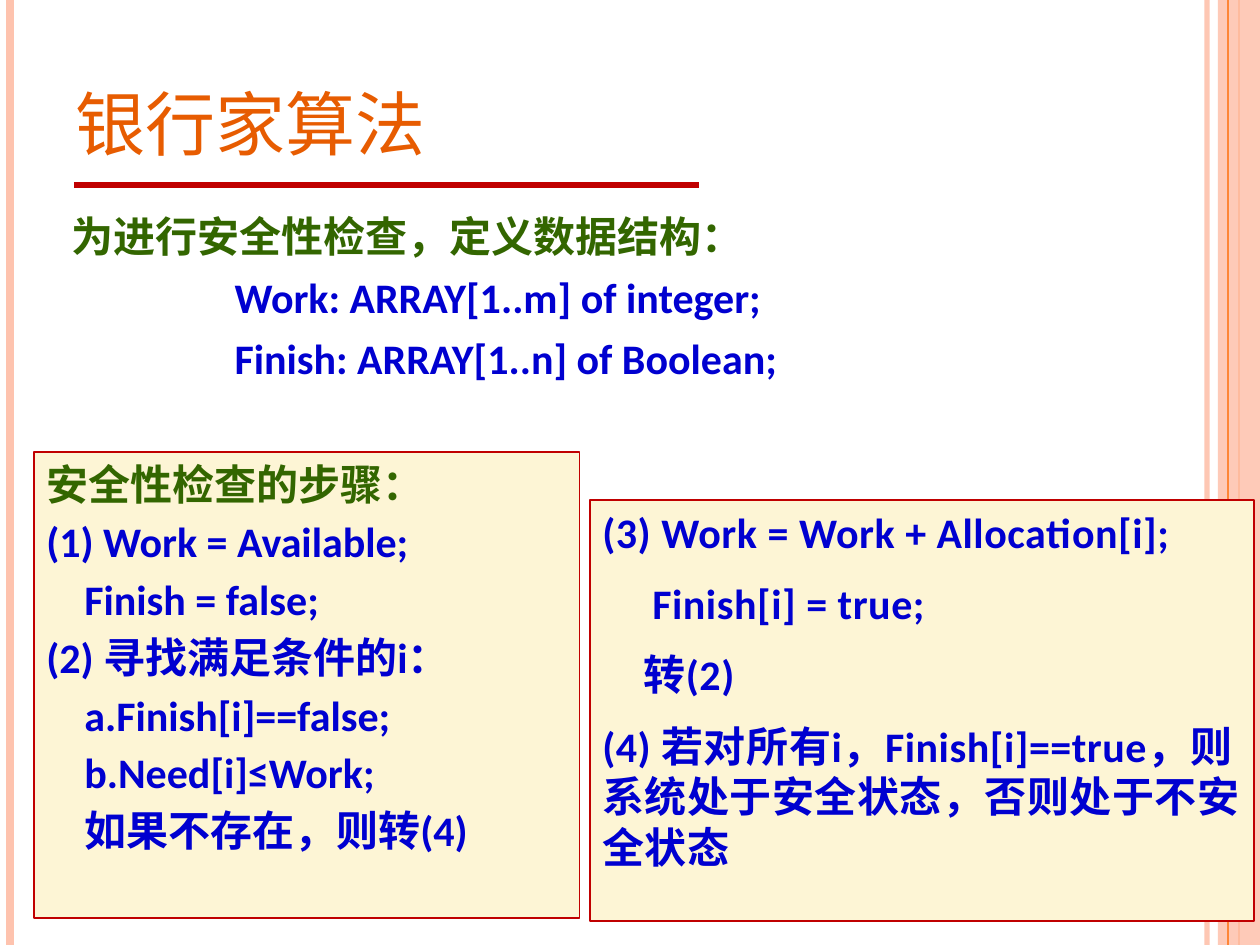
from dataclasses import dataclass
from typing import Optional

import pptx
import pptx.dml.color
import pptx.enum.shapes
import pptx.enum.text
import pptx.oxml.ns
import pptx.util
from lxml import etree

SCALE = 914400 // 126  # EMU in one pixel
WIDE, HIGH = 1260, 945


@dataclass(frozen=True)
class Theme:
    title: str = "E75C01"
    green: str = "336600"
    blue: str = "0000D0"
    red: str = "C00000"
    cream: str = "FDF5D5"
    pink: str = "FEC3AE"
    orange: str = "FE8637"
    head_size: int = 40
    text_size: int = 24
    head_font: str = "Noto Sans CJK SC"
    text_font: str = "Calibri"


THEME = Theme()


@dataclass(frozen=True)
class Rule:
    start: tuple[int, int]
    end: tuple[int, int]
    color: str
    width: float
    alpha: int = 100


@dataclass(frozen=True)
class Line:
    text: str
    indent: int = 0
    color: str = THEME.blue


@dataclass(frozen=True)
class Panel:
    area: tuple[int, int, int, int]
    lines: list[Line]
    before: float
    track: int = 0  # hundredths of a point


def px(count: int) -> pptx.util.Emu:
    return pptx.util.Emu(count * SCALE)


def rgb(code: str) -> pptx.dml.color.RGBColor:
    return pptx.dml.color.RGBColor.from_string(code)


def add_child(parent, tag: str, **values: str):
    return etree.SubElement(parent, pptx.oxml.ns.qn(tag), **values)


def set_alpha(shape, percent: int) -> None:
    tone = next(shape._element.spPr.iter(pptx.oxml.ns.qn("a:srgbClr")))
    add_child(tone, "a:alpha", val=str(percent * 1000))


def draw_rule(slide, rule: Rule) -> None:
    line = slide.shapes.add_connector(
        pptx.enum.shapes.MSO_CONNECTOR.STRAIGHT,
        *map(px, rule.start + rule.end))
    line.line.color.rgb = rgb(rule.color)
    line.line.width = pptx.util.Pt(rule.width)
    if rule.alpha < 100:
        set_alpha(line, rule.alpha)
    add_child(line._element.spPr, "a:effectLst")


def draw_box(slide, area: tuple[int, int, int, int], fill: str,
             edge: Optional[str] = None):
    box = slide.shapes.add_shape(
        pptx.enum.shapes.MSO_SHAPE.RECTANGLE, *map(px, area))
    box.shadow.inherit = False
    box.fill.solid()
    box.fill.fore_color.rgb = rgb(fill)
    if edge:
        box.line.color.rgb = rgb(edge)
        box.line.width = pptx.util.Pt(0.75)
    else:
        box.line.fill.background()
    return box


def place(shape, area: tuple[int, int, int, int]) -> None:
    shape.left, shape.top, shape.width, shape.height = map(px, area)


def add_run(para, text: str, size: int, font: str, color: str,
            bold: bool, track: int = 0) -> None:
    run = para.add_run()
    run.text = text
    run.font.size = pptx.util.Pt(size)
    run.font.name = font
    run.font.bold = bold
    run.font.color.rgb = rgb(color)
    props = run.font._element
    add_child(props, "a:ea", typeface=font)
    if track:
        props.set("spc", str(track))


def fill_text(frame, lines: list[Line], before: float, track: int = 0) -> None:
    frame.word_wrap = True
    frame.auto_size = pptx.enum.text.MSO_AUTO_SIZE.NONE
    frame.vertical_anchor = pptx.enum.text.MSO_ANCHOR.TOP
    for count, line in enumerate(lines):
        para = frame.add_paragraph() if count else frame.paragraphs[0]
        para.alignment = pptx.enum.text.PP_ALIGN.LEFT
        para.space_before = pptx.util.Pt(before)
        props = para._p.get_or_add_pPr()
        props.set("marL", str(px(line.indent)))
        props.set("indent", "0")
        add_child(props, "a:buNone")
        add_run(para, line.text, THEME.text_size, THEME.text_font,
                line.color, True, track)


def upright(left: int, color: str, width: float, alpha: int = 100) -> Rule:
    return Rule((left, 0), (left, HIGH), color, width, alpha)


SIDES = [
    upright(1207, THEME.pink, 3, 93),
    upright(10, THEME.pink, 4.5),
    upright(1239, THEME.orange, 1.5),
]
FRONT = [
    upright(1228, THEME.orange, 0.75),
    Rule((74, 185), (699, 185), THEME.red, 3),
]
BODY = [
    Line("为进行安全性检查，定义数据结构：", color=THEME.green),
    Line("Work: ARRAY[1..m] of integer;", 163),
    Line("Finish: ARRAY[1..n] of Boolean;", 163),
]
PANELS = [
    Panel((34, 452, 546, 466), [
        Line("安全性检查的步骤：", color=THEME.green),
        Line("(1) Work = Available;"),
        Line("Finish = false;", 38),
        Line("(2) 寻找满足条件的i："),
        Line("a.Finish[i]==false;", 38),
        Line("b.Need[i]≤Work;", 38),
        Line("如果不存在，则转(4)", 38),
    ], 4.2),
    Panel((590, 500, 664, 421), [
        Line("(3) Work = Work + Allocation[i];"),
        Line("Finish[i] = true;", 50),
        Line("转(2)", 41),
        Line("(4) 若对所有i，Finish[i]==true，"
             "则系统处于安全状态，否则处于不安全状态"),
    ], 12, 30),
]

deck = pptx.Presentation()
deck.slide_width, deck.slide_height = px(WIDE), px(HIGH)
slide = deck.slides.add_slide(deck.slide_layouts[1])

# Side bands and title rule
for rule in SIDES:
    draw_rule(slide, rule)
band = draw_box(slide, (1218, 0, 42, HIGH), THEME.pink)
set_alpha(band, 87)
for rule in FRONT:
    draw_rule(slide, rule)

# Title
title = slide.shapes.title
place(title, (63, 38, 1029, 127))
frame = title.text_frame
frame.auto_size = pptx.enum.text.MSO_AUTO_SIZE.NONE
frame.vertical_anchor = pptx.enum.text.MSO_ANCHOR.BOTTOM
frame.margin_bottom = 0
frame.paragraphs[0].alignment = pptx.enum.text.PP_ALIGN.LEFT
add_run(frame.paragraphs[0], "银行家算法", THEME.head_size,
        THEME.head_font, THEME.title, False)

# Data structures
body = slide.placeholders[1]
place(body, (59, 204, 998, 668))
fill_text(body.text_frame, BODY, 6)

# Steps of the safety check
for panel in PANELS:
    box = draw_box(slide, panel.area, THEME.cream, THEME.red)
    fill_text(box.text_frame, panel.lines, panel.before, panel.track)

deck.save("out.pptx")
